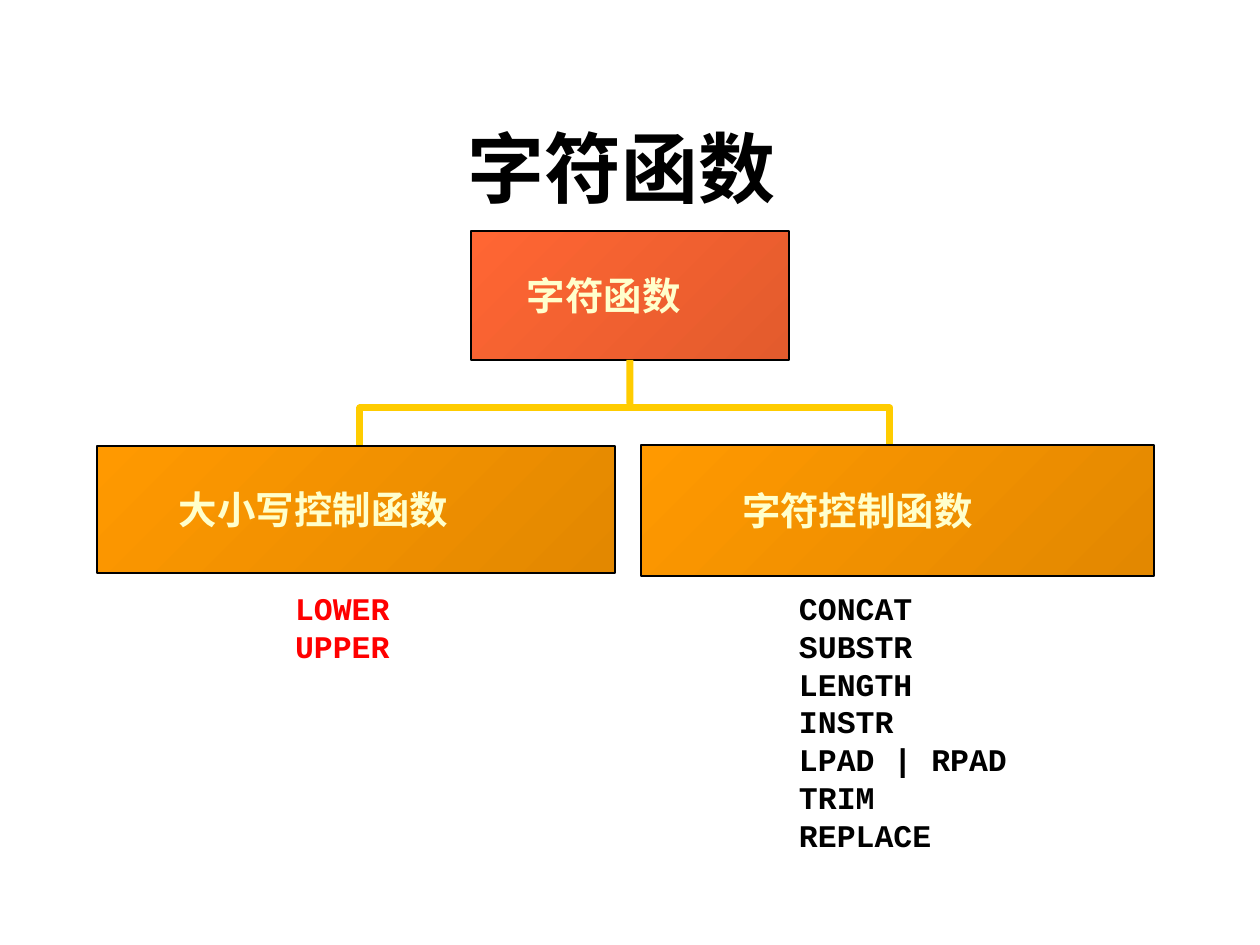
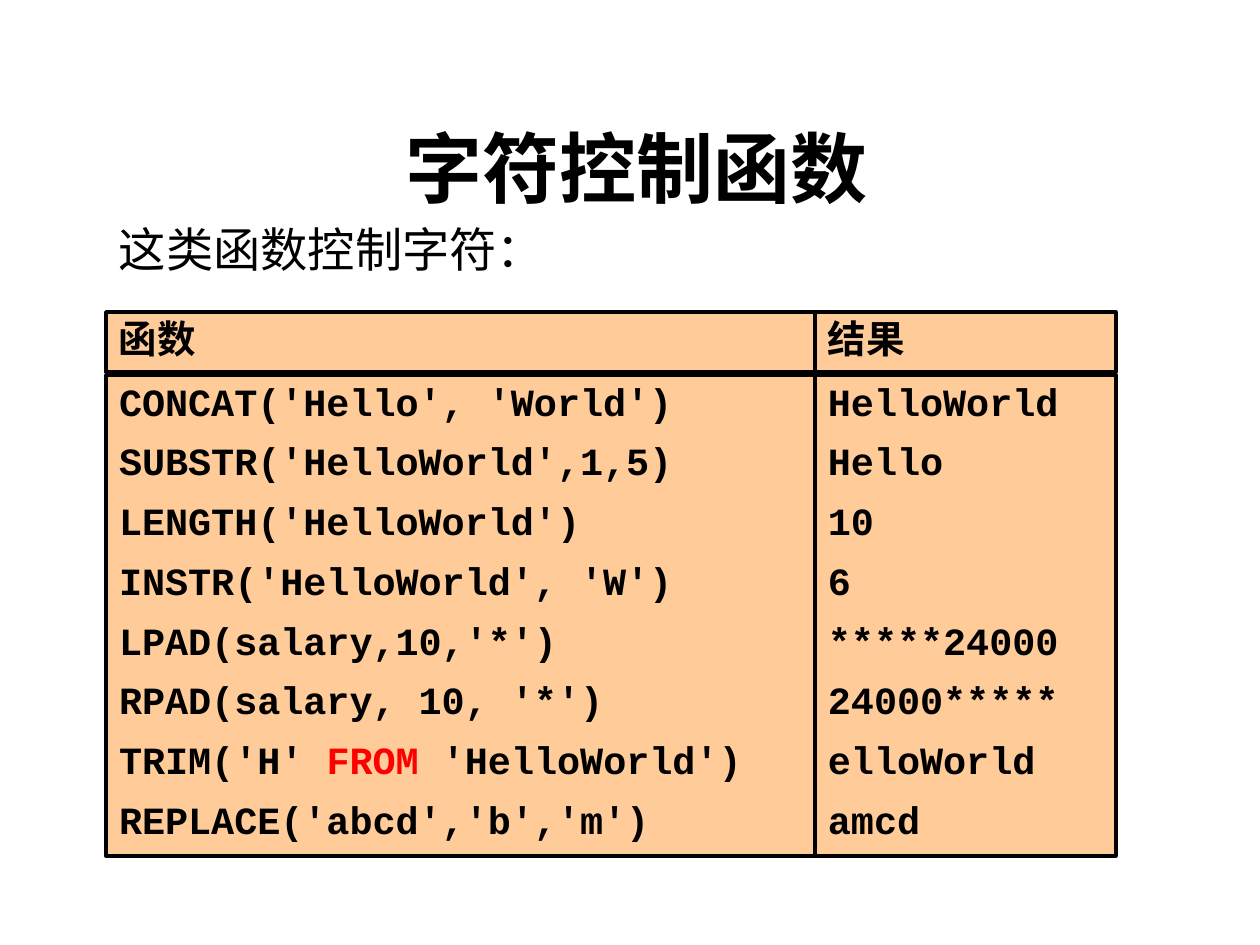
from lxml.etree import SubElement
from pptx import Presentation
from pptx.dml.color import RGBColor as RGB
from pptx.enum.shapes import MSO_CONNECTOR as CONN, MSO_SHAPE as SHAPE
from pptx.enum.text import MSO_ANCHOR as ANCHOR, PP_ALIGN as ALIGN
from pptx.oxml.ns import qn
from pptx.util import Pt

UNIT = 914400 / 126
HUES = {
    "black": "000000", "red": "FF0000", "cream": "FFFFCC", "gold": "FFCC00",
    "peach": "FFCC99", "coral": "FF6633", "rust": "E35B2D",
    "orange": "FF9900", "amber": "E38800",
}
CJK = "Noto Sans CJK SC"
FONTS = {
    "title": {"name": CJK, "size": Pt(44), "bold": True},
    "lead": {"name": CJK, "size": Pt(27), "bold": False},
    "node": {"name": "Calibri", "size": Pt(22), "bold": True},
    "list": {"name": "Courier New", "size": Pt(18), "bold": True},
    "head": {"name": "Arial", "size": Pt(22), "bold": True},
    "code": {"name": "Courier New", "size": Pt(22), "bold": True},
}
PARAS = {
    "title": {"alignment": ALIGN.CENTER},
    "list": {"line_spacing": Pt(21.6)},
    "head": {"line_spacing": 0.95},
    "code": {"line_spacing": 0.95},
}
GAPS = {"code": Pt(9.1)}


def emu(*sizes):
    return [round(size * UNIT) for size in sizes]


def tint(name):
    return RGB.from_string(HUES[name])


def apply(item, values):
    for key, value in values.items():
        setattr(item, key, value)


class Deck:
    def __init__(self):
        self.file = Presentation()
        apply(self.file, dict(zip(("slide_width", "slide_height"), emu(1260, 945))))

    def page(self):
        self.slide = self.file.slides.add_slide(self.file.slide_layouts[6])
        self.shapes = self.slide.shapes

    def fill(self, shape, lines, style, hue="black", inset=13, anchor=ANCHOR.TOP):
        frame = shape.text_frame
        left, side, edge = emu(inset, 13, 6)
        apply(frame, {
            "word_wrap": True, "vertical_anchor": anchor, "margin_left": left,
            "margin_right": side, "margin_top": edge, "margin_bottom": edge,
        })
        for index, line in enumerate(lines):
            para = frame.add_paragraph() if index else frame.paragraphs[0]
            para.alignment = ALIGN.LEFT
            apply(para, PARAS.get(style, {}))
            if index and style in GAPS:
                para.space_before = GAPS[style]
            parts = [(line, hue)] if isinstance(line, str) else line
            for text, shade in parts:
                run = para.add_run()
                run.text = text
                apply(run.font, FONTS[style])
                run.font.color.rgb = tint(shade)
                SubElement(run.font._element, qn("a:ea"), typeface=CJK)

    def text(self, box, lines, style, hue="black"):
        self.fill(self.shapes.add_textbox(*emu(*box)), lines, style, hue)

    def title(self, left, text):
        self.text((left, 115, 1061, 198), [text], "title")

    def line(self, shape, hue, width):
        shape.line.color.rgb = tint(hue)
        shape.line.width = Pt(width)

    def rect(self, box, width):
        shape = self.shapes.add_shape(SHAPE.RECTANGLE, *emu(*box))
        shape.shadow.inherit = False
        self.line(shape, "black", width)
        return shape

    def node(self, box, text, inset, hues):
        shape = self.rect(box, 1)
        shape.fill.gradient()
        shape.fill.gradient_angle = 315
        for stop, hue in zip(shape.fill.gradient_stops, hues):
            stop.color.rgb = tint(hue)
        self.fill(shape, [text], "node", "cream", inset, ANCHOR.MIDDLE)
        return shape

    def cell(self, box, lines, style):
        shape = self.rect(box, 2)
        shape.fill.solid()
        shape.fill.fore_color.rgb = tint("peach")
        self.fill(shape, lines, style)

    def stem(self, start, node):
        link = self.shapes.add_connector(CONN.STRAIGHT, *emu(*start, *start))
        link.end_connect(node, 2)
        self.line(link, "gold", 4)
        SubElement(link._element.spPr, qn("a:effectLst"))

    def fork(self, first, *rest):
        pen = self.shapes.build_freeform(*first, scale=UNIT)
        pen.add_line_segments(rest, close=False)
        shape = pen.convert_to_shape()
        shape.shadow.inherit = False
        shape.fill.background()
        self.line(shape, "gold", 4)


def tree(deck):
    deck.page()
    deck.title(91, "字符函数")
    root = deck.node((471, 231, 318, 129), "字符函数", 56, ("coral", "rust"))
    deck.text((282, 583, 121, 89), ["LOWER", "UPPER"], "list", "red")
    names = ["CONCAT", "SUBSTR", "LENGTH", "INSTR", "LPAD | RPAD", "TRIM", "REPLACE"]
    deck.text((786, 583, 237, 297), names, "list")
    deck.stem((630, 406), root)
    deck.fork((360, 476), (360, 408), (890, 408), (890, 481))
    for box, text, inset in (
        ((97, 446, 518, 127), "大小写控制函数", 82),
        ((641, 445, 513, 131), "字符控制函数", 101),
    ):
        deck.node(box, text, inset, ("orange", "amber"))


def calls(deck):
    deck.page()
    codes = [
        "CONCAT('Hello', 'World')", "SUBSTR('HelloWorld',1,5)",
        "LENGTH('HelloWorld')", "INSTR('HelloWorld', 'W')",
        "LPAD(salary,10,'*')", "RPAD(salary, 10, '*')",
        [("TRIM('H' ", "black"), ("FROM", "red"), (" 'HelloWorld')", "black")],
        "REPLACE('abcd','b','m')",
    ]
    values = ["HelloWorld", "Hello", "10", "6", "*****24000", "24000*****",
              "elloWorld", "amcd"]
    left, right, wide = 106, 815, 301
    deck.cell((left, 375, 713, 481), codes, "code")
    deck.cell((right, 375, wide, 481), values, "code")
    deck.cell((left, 312, 743, 60), ["函数"], "head")
    deck.cell((right, 312, wide, 60), ["结果"], "head")
    deck.title(left, "字符控制函数")
    deck.text((left, 214, 1061, 71), ["这类函数控制字符："], "lead")


def main():
    deck = Deck()
    tree(deck)
    calls(deck)
    deck.file.save("out.pptx")


if __name__ == "__main__":
    main()
